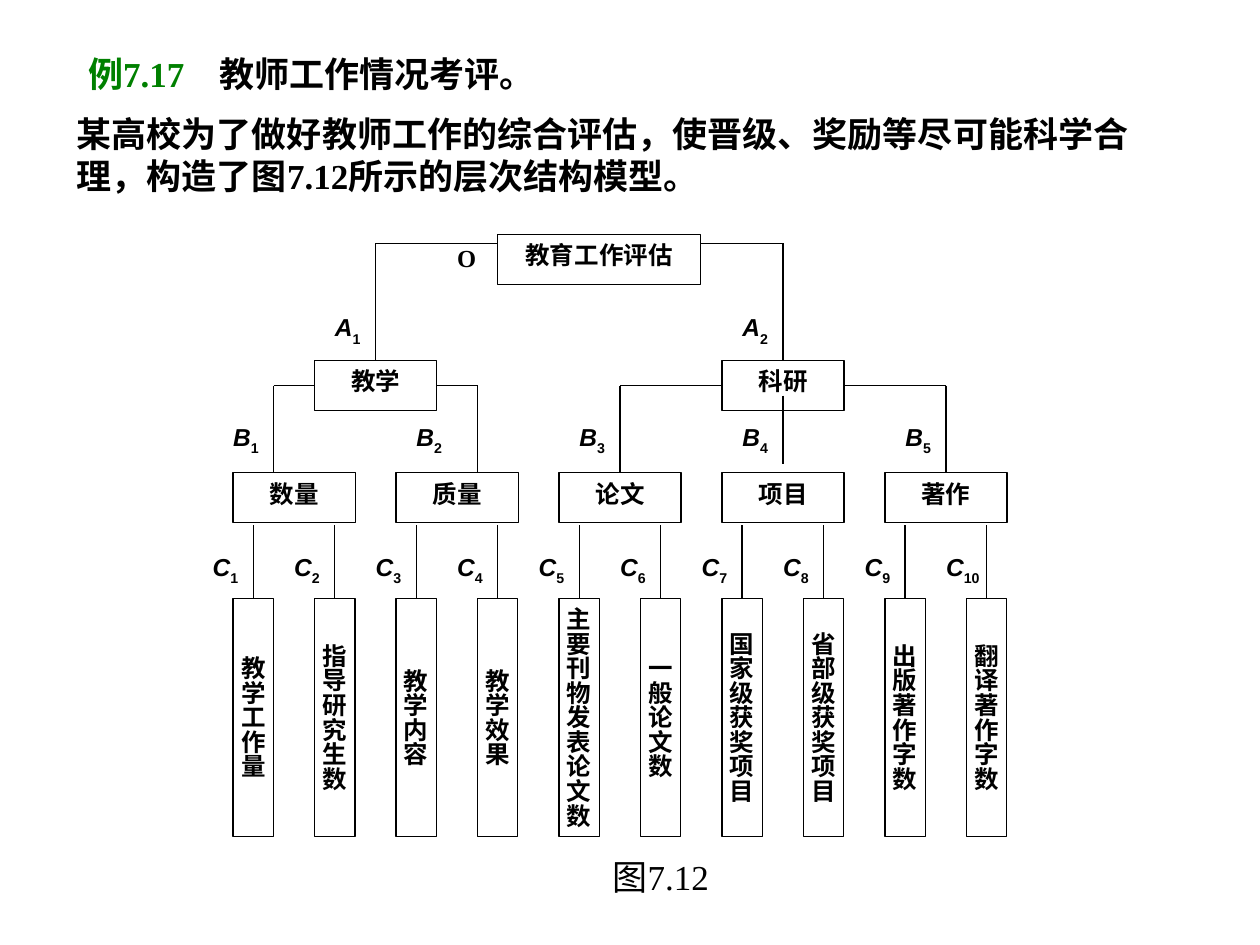
import dataclasses

import lxml.etree
import pptx
import pptx.dml.color
import pptx.enum.shapes
import pptx.enum.text
import pptx.oxml.ns
import pptx.util

Inches = pptx.util.Inches
Pt = pptx.util.Pt
Anchor = pptx.enum.text.MSO_ANCHOR
Align = pptx.enum.text.PP_ALIGN


@dataclasses.dataclass(frozen=True)
class Theme:
    black = pptx.dml.color.RGBColor(0, 0, 0)
    white = pptx.dml.color.RGBColor(255, 255, 255)
    green = pptx.dml.color.RGBColor(0, 128, 0)
    serif = "Times New Roman"
    sans = "Arial"
    body = Pt(20)
    diagram = Pt(14)
    rule = Pt(0.75)


THEME = Theme()
GRID_LEFT = 1.85
GRID_STEP = 5.82 / 9
NODE_WIDTH = 0.97
NODE_HEIGHT = 0.4
BRANCH_TOP = 2.86
CRITERION_TOP = 3.75
LEAF_TOP = 4.75
BRANCH_MIDDLE = BRANCH_TOP + NODE_HEIGHT / 2
ROOT_RAIL = 1.93
TOP, LEFT, RIGHT = 0, 1, 3

CRITERIA = ["数量", "质量", "论文", "项目", "著作"]
LEAVES = ["教学工作量", "指导研究生数", "教学内容", "教学效果", "主要刊物发表论文数",
          "一般论文数", "国家级获奖项目", "省部级获奖项目", "出版著作字数", "翻译著作字数"]


def column(position):
    return GRID_LEFT + position * GRID_STEP


def apply_format(target, values):
    for name, value in values.items():
        setattr(target, name, value)


def set_frame(frame, horizontal, vertical, **values):
    apply_format(frame, {
        "word_wrap": True, "vertical_anchor": Anchor.TOP,
        "margin_left": Inches(horizontal), "margin_right": Inches(horizontal),
        "margin_top": Inches(vertical), "margin_bottom": Inches(vertical), **values})


def add_run(paragraph, text, color=THEME.black, **values):
    run = paragraph.add_run()
    run.text = text
    apply_format(run.font, {"name": THEME.serif, "size": THEME.diagram, "bold": True, **values})
    run.font.color.rgb = color
    return run


def add_text_box(shapes, left, top, width, height, horizontal=0.1, vertical=0.05, **values):
    box = shapes.add_textbox(Inches(left), Inches(top), Inches(width), Inches(height))
    set_frame(box.text_frame, horizontal, vertical, **values)
    return box.text_frame.paragraphs[0]


def add_tab_stop(paragraph, position):
    tabs = lxml.etree.SubElement(paragraph._p.get_or_add_pPr(), pptx.oxml.ns.qn("a:tabLst"))
    lxml.etree.SubElement(tabs, pptx.oxml.ns.qn("a:tab"), pos=str(Inches(position)), algn="l")


def add_node(shapes, text, left, top, width=NODE_WIDTH, height=NODE_HEIGHT, upright=False):
    node = shapes.add_shape(pptx.enum.shapes.MSO_SHAPE.RECTANGLE,
                            Inches(left), Inches(top), Inches(width), Inches(height))
    node.shadow.inherit = False
    node.fill.solid()
    node.fill.fore_color.rgb = THEME.white
    node.line.color.rgb = THEME.black
    node.line.width = THEME.rule
    paragraph = node.text_frame.paragraphs[0]
    if upright:
        set_frame(node.text_frame, 0.05, 0)
        body_properties = node.text_frame._txBody.bodyPr
        body_properties.set("vert", "eaVert")
        body_properties.set("anchorCtr", "1")
        paragraph.alignment = Align.LEFT
    else:
        set_frame(node.text_frame, 0.1, 0.05)
        paragraph.alignment = Align.CENTER
    add_run(paragraph, text)
    return node


def add_line(shapes, start, end, target=None, side=TOP):
    line = shapes.add_connector(pptx.enum.shapes.MSO_CONNECTOR.STRAIGHT,
                                *(Inches(value) for value in (*start, *end)))
    line.line.color.rgb = THEME.black
    line.line.width = THEME.rule
    lxml.etree.SubElement(line._element.spPr, pptx.oxml.ns.qn("a:effectLst"))
    if target is not None:
        line.end_connect(target, side)


def add_label(shapes, letter, number, position, top):
    paragraph = add_text_box(shapes, column(position), top, 0.32, 0.27, 0, 0)
    add_run(paragraph, letter, name=THEME.sans, italic=True)
    subscript = add_run(paragraph, str(number), name=THEME.sans)
    subscript._r.get_or_add_rPr().set("baseline", "-30000")


def add_texts(shapes):
    heading = add_text_box(shapes, 0.6, 0.36, 3.75, 0.44,
                           word_wrap=False, vertical_anchor=Anchor.MIDDLE)
    add_tab_stop(heading, 1.04)
    add_run(heading, "例7.17\t", THEME.green, size=THEME.body)
    add_run(heading, "教师工作情况考评。", size=THEME.body)
    body = add_text_box(shapes, 0.51, 0.84, 8.98, 0.77, vertical_anchor=Anchor.MIDDLE)
    body._p.get_or_add_pPr().set("hangingPunct", "0")
    add_run(body, "某高校为了做好教师工作的综合评估，使晋级、奖励等尽可能科学合理，"
                  "构造了图7.12所示的层次结构模型。", size=THEME.body)
    caption = add_text_box(shapes, 4.73, 6.74, 1.03, 0.44,
                           word_wrap=False, vertical_anchor=Anchor.MIDDLE)
    caption.alignment = Align.CENTER
    add_run(caption, "图7.12", size=THEME.body, bold=False)


def add_hierarchy(shapes):
    add_node(shapes, "教育工作评估", 3.95, 1.86, 1.61)
    add_run(add_text_box(shapes, column(2.75), ROOT_RAIL, 0.32, 0.27, 0, 0), "O")

    branches = []
    for number, (text, position, root_edge) in enumerate(
            [("教学", 1, 3.95), ("科研", 6, 5.56)], 1):
        branch = add_node(shapes, text, column(position), BRANCH_TOP)
        center = column(position) + NODE_WIDTH / 2
        add_line(shapes, (root_edge, ROOT_RAIL), (center, ROOT_RAIL))
        add_line(shapes, (center, ROOT_RAIL), (center, BRANCH_TOP), branch)
        add_label(shapes, "A", number, position + 0.25, 2.48)
        branches.append(branch)

    criteria = []
    for index, (text, label) in enumerate(zip(CRITERIA, [0, 2.25, 4.25, 6.25, 8.25])):
        criteria.append(add_node(shapes, text, column(2 * index), CRITERION_TOP))
        add_label(shapes, "B", index + 1, label, 3.35)

    teaching, research = branches
    for position, branch, side, criterion in [
            (0.5, teaching, LEFT, None), (3, teaching, RIGHT, None),
            (4.75, research, LEFT, criteria[2]), (8.75, research, RIGHT, criteria[4])]:
        corner = (column(position), BRANCH_MIDDLE)
        edge = branch.left + (branch.width if side == RIGHT else 0)
        add_line(shapes, corner, (edge / Inches(1), BRANCH_MIDDLE), branch, side)
        add_line(shapes, corner, (column(position), CRITERION_TOP), criterion)
    add_line(shapes, (column(6.75), 3.14), (column(6.75), 3.68))

    for index, text in enumerate(LEAVES):
        leaf = add_node(shapes, text, column(index), LEAF_TOP, 0.32, 1.89, upright=True)
        center = column(index) + 0.16
        add_line(shapes, (center, 4.17), (center, LEAF_TOP), leaf)
        add_label(shapes, "C", index + 1, index - 0.25, 4.38)


def main():
    presentation = pptx.Presentation()
    presentation.slide_width = Inches(10)
    presentation.slide_height = Inches(7.5)
    slide = presentation.slides.add_slide(presentation.slide_layouts[6])
    add_texts(slide.shapes)
    add_hierarchy(slide.shapes.add_group_shape().shapes)
    presentation.save("out.pptx")


if __name__ == "__main__":
    main()
